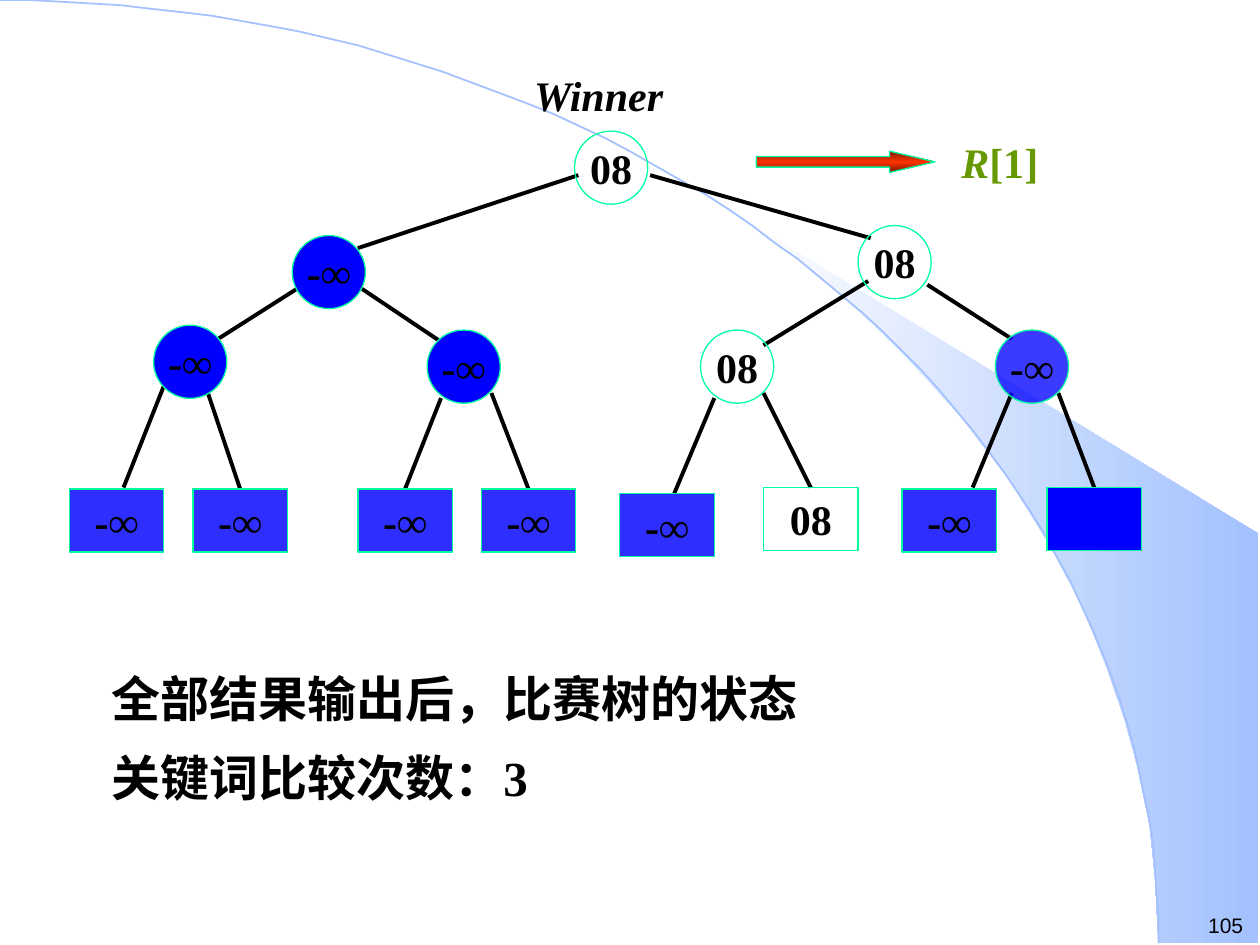
from copy import deepcopy
from math import cos, pi, sin

from pptx import Presentation
from pptx.dml.color import RGBColor
from pptx.enum.shapes import MSO_CONNECTOR, MSO_SHAPE
from pptx.enum.text import MSO_ANCHOR, PP_ALIGN
from pptx.oxml.ns import qn
from pptx.oxml.xmlchemy import OxmlElement
from pptx.util import Pt

BLACK = RGBColor(0x00, 0x00, 0x00)
WHITE = RGBColor(0xFF, 0xFF, 0xFF)
BLUE = RGBColor(0x00, 0x00, 0xFF)
SKY = RGBColor(0xA2, 0xC1, 0xFE)
MINT = RGBColor(0x00, 0xFF, 0x9F)
OLIVE = RGBColor(0x66, 0x99, 0x00)
RUST = RGBColor(0x76, 0x18, 0x00)
RED = RGBColor(0xFF, 0x33, 0x00)

SERIF = {"name": "Times New Roman", "size": Pt(24), "bold": True}
BODY = {**SERIF, "size": Pt(28)}
NUMBER = {"name": "Arial", "size": Pt(12)}
CENTRED = {"word_wrap": False, "vertical_anchor": MSO_ANCHOR.MIDDLE}

WEDGE = [(662.4, 538.6), (719.3, 539.3), (719.3, 304.6), (424.1, 124.6), (449.3, 143.3),
         (470.2, 159.8), (493.2, 180), (515.5, 201.6), (548.6, 237.6), (578.2, 276.5),
         (599, 310.3), (617.8, 344.9), (632.2, 380.2), (643, 411.8), (650.2, 438.5),
         (657.4, 472.3), (660.2, 501.1)]

NODE, LEAF_W, LEAF_H = 41.8, 54, 36
NODES = [(292.3, 2.9, "08", None), (131, 62.6, "-∞", 100), (454.3, 56.9, "08", None),
         (51.8, 113.8, "-∞", 100), (208.1, 116.6, "-∞", 100),
         (364.3, 116.6, "08", None), (532.8, 116.6, "-∞", 77)]
LEAVES = [(3.6, 207.4, "-∞", 82), (74.2, 207.4, "-∞", 82), (168.5, 207.4, "-∞", 82),
          (239, 207.4, "-∞", 82), (318.2, 210.2, "-∞", 82), (400.3, 206.6, "08", None),
          (479.5, 207.4, "-∞", 82), (562.3, 206.6, "", 100)]
BRANCHES = [(294.5, 28.1, 168.5, 69.8), (335.5, 28.1, 461.5, 64.1),
            (133.9, 92.9, 88.6, 121.7), (170.6, 92.9, 214.6, 122.4),
            (460.1, 88.6, 400.3, 125.3), (493.9, 90.7, 542.2, 121.7)]
TWIGS = [(58.3, 146.9, 34.6, 206.6), (82.8, 152.6, 100.1, 209.5),
         (216, 155.5, 196.6, 206.6), (244.8, 152.6, 264.2, 209.5),
         (372.2, 155.5, 349.2, 210.2), (400.3, 152.6, 429.1, 207.4),
         (542.2, 152.6, 519.8, 206.6), (568.8, 152.6, 590.4, 206.6)]


def apply(obj, formats):
    """Set each attribute of a dict of format values."""
    for key, value in formats.items():
        setattr(obj, key, value)


def add_run(p, text, font, color=BLACK):
    """Add one formatted run to a paragraph."""
    r = p.add_run()
    r.text = text
    apply(r.font, font)
    r.font.color.rgb = color


def add_text(s, x, y, w, h, wrap):
    """Add an empty text box and return its text frame."""
    tf = s.shapes.add_textbox(Pt(x), Pt(y), Pt(w), Pt(h)).text_frame
    tf.word_wrap = wrap
    return tf


def set_gradient(sp, colors, angle):
    """Fill a shape with evenly spaced gradient stops."""
    sp.fill.gradient()
    sp.fill.gradient_angle = angle
    stops = sp._element.spPr.find(qn("a:gradFill")).find(qn("a:gsLst"))
    for _ in colors[2:]:
        stops.append(deepcopy(stops[0]))
    for i, (stop, color) in enumerate(zip(sp.fill.gradient_stops, colors)):
        stop.position = i / (len(colors) - 1)
        stop.color.rgb = color


def add_outline(s, points, close):
    """Draw a polygon or open line through points."""
    fb = s.shapes.build_freeform(*points[0], scale=Pt(1))
    fb.add_line_segments(points[1:], close=close)
    sp = fb.convert_to_shape()
    sp.shadow.inherit = False
    return sp


def add_backdrop(s, x, y, w, h):
    """Draw the shaded wedge and a quarter ellipse in the box."""
    wedge = add_outline(s, WEDGE, True)
    set_gradient(wedge, [WHITE, SKY], 0)
    wedge.line.fill.background()
    turns = [i * pi / 120 for i in range(61)]
    arc = add_outline(s, [(x + w * sin(t), y + h * (1 - cos(t))) for t in turns], False)
    arc.fill.background()
    arc.line.color.rgb = SKY
    arc.line.width = Pt(1)


def add_cell(s, kind, x, y, w, h, text, opacity):
    """Draw one tree node with its key."""
    sp = s.shapes.add_shape(kind, Pt(x), Pt(y), Pt(w), Pt(h))
    sp.shadow.inherit = False
    sp.line.color.rgb = MINT
    sp.line.width = Pt(0.75)
    if opacity is None:
        sp.fill.background()
    else:
        sp.fill.solid()
        sp.fill.fore_color.rgb = BLUE
        if opacity < 100:
            alpha = OxmlElement("a:alpha")
            alpha.set("val", str(opacity * 1000))
            sp._element.spPr.find(qn("a:solidFill"))[0].append(alpha)
    if text:
        apply(sp.text_frame, CENTRED)
        p = sp.text_frame.paragraphs[0]
        p.alignment = PP_ALIGN.CENTER
        add_run(p, text, SERIF)
    return sp


def add_edge(s, x, y, ends):
    """Draw one black tree edge."""
    x1, y1, x2, y2 = ends
    edge = s.shapes.add_connector(MSO_CONNECTOR.STRAIGHT, Pt(x + x1), Pt(y + y1),
                                  Pt(x + x2), Pt(y + y2))
    edge.line.color.rgb = BLACK
    edge.line.width = Pt(2.25)
    edge._element.spPr.append(OxmlElement("a:effectLst"))
    return edge


def add_tree(s, x, y):
    """Draw the tournament tree from the box's top left corner."""
    for ends in BRANCHES:
        add_edge(s, x, y, ends)
    for (left, top, text, opacity), ends in zip(LEAVES, TWIGS):
        edge = add_edge(s, x, y, ends)
        leaf = add_cell(s, MSO_SHAPE.RECTANGLE, x + left, y + top, LEAF_W, LEAF_H, text, opacity)
        if abs(ends[2] - left - LEAF_W / 2) < 3:
            edge.end_connect(leaf, 0)
    for left, top, text, opacity in NODES:
        add_cell(s, MSO_SHAPE.OVAL, x + left, y + top, NODE, NODE, text, opacity)


def add_winner(s, x, y):
    """Label the winner and point to its output slot."""
    title = add_text(s, x, y, 95, 36, False).paragraphs[0]
    add_run(title, "Winner", {**SERIF, "italic": True})
    arrow = s.shapes.add_shape(MSO_SHAPE.RIGHT_ARROW, Pt(x + 134), Pt(y + 50.4),
                               Pt(102.2), Pt(12.2))
    arrow.shadow.inherit = False
    arrow.adjustments[1] = 2.13
    set_gradient(arrow, [RUST, RED, RUST], 90)
    arrow.line.color.rgb = MINT
    arrow.line.width = Pt(0.75)
    slot = add_text(s, x + 244.1, y + 38.2, 58.3, 36, False).paragraphs[0]
    add_run(slot, "R", {**SERIF, "italic": True}, OLIVE)
    add_run(slot, "[1]", SERIF, OLIVE)


def add_summary(s, x, y, w, h):
    """Write the two lines on the final state."""
    tf = add_text(s, x, y, w, h, True)
    for i, text in enumerate(["全部结果输出后，比赛树的状态", "关键词比较次数：3"]):
        p = tf.add_paragraph() if i else tf.paragraphs[0]
        apply(p, {"alignment": PP_ALIGN.JUSTIFY, "line_spacing": 1.35})
        pPr = p._p.get_or_add_pPr()
        pPr.set("marL", str(Pt(27)))
        pPr.set("indent", str(-Pt(27)))
        add_run(p, text, BODY)


def add_page_number(s, x, y, w, h):
    """Write the page number."""
    add_run(add_text(s, x, y, w, h, True).paragraphs[0], "105", NUMBER)


def main():
    """Build the slide and save it."""
    prs = Presentation()
    apply(prs, {"slide_width": Pt(720), "slide_height": Pt(540)})
    s = prs.slides.add_slide(prs.slide_layouts[6])
    add_backdrop(s, 0, 0, 662.4, 539.3)
    add_page_number(s, 683.3, 517.7, 36.7, 21.6)
    add_summary(s, 56.9, 366.5, 642.2, 128.9)
    add_tree(s, 36, 72)
    add_winner(s, 298.1, 36)
    prs.save("out.pptx")


if __name__ == "__main__":
    main()
